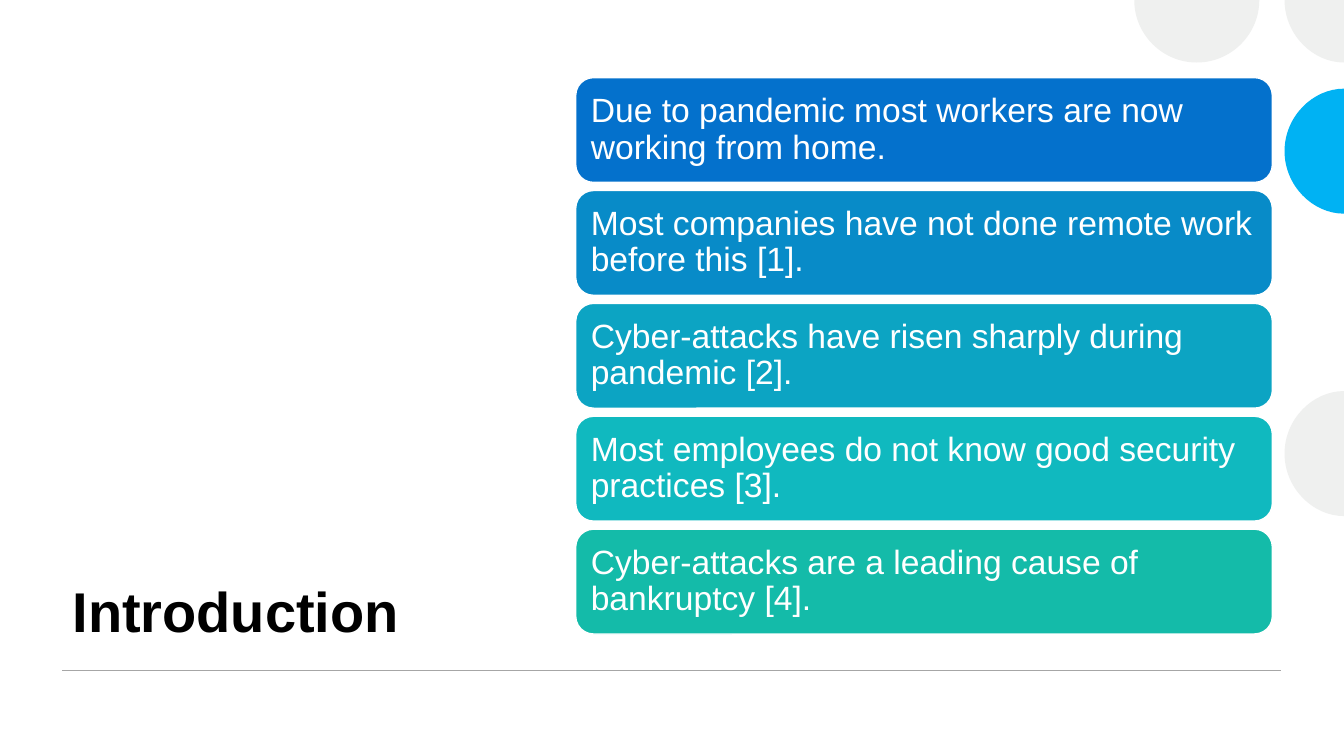
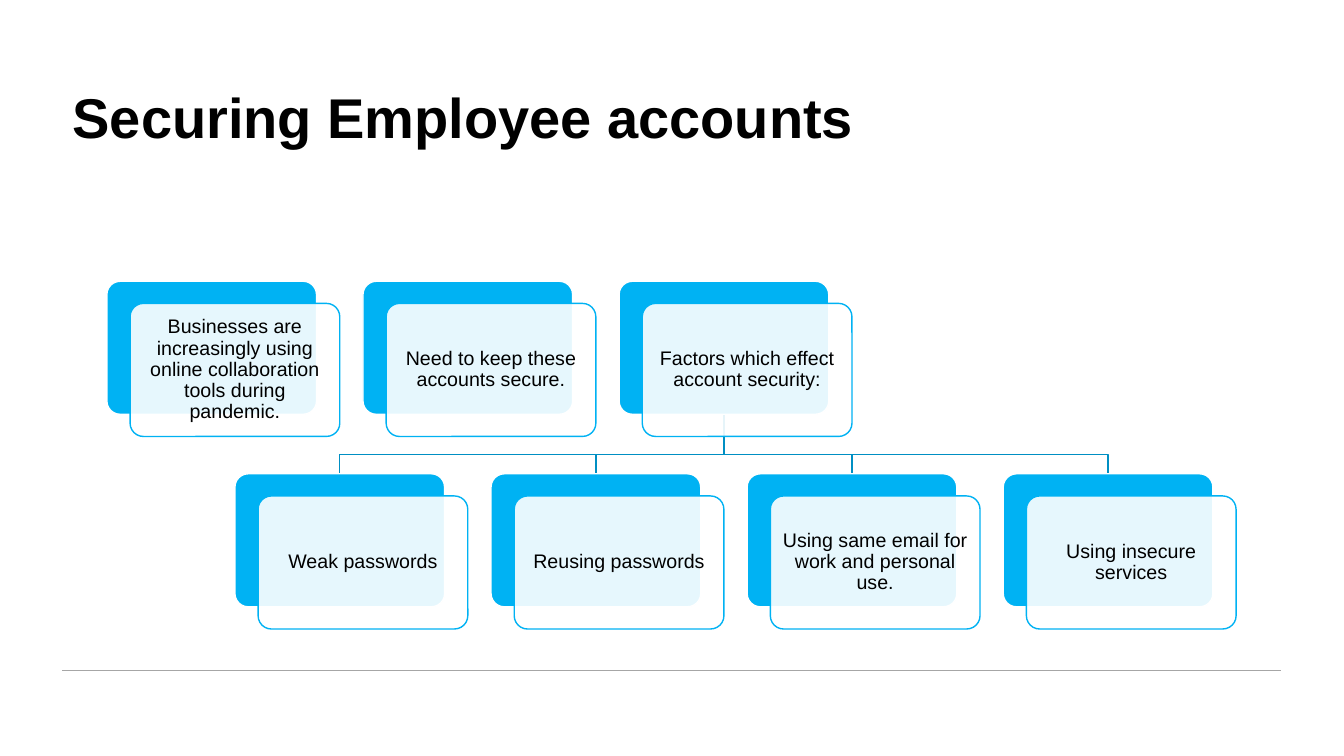
import math

import pptx
import pptx.dml.color
import pptx.enum.shapes
import pptx.enum.text
import pptx.oxml.ns
import pptx.util
from lxml import etree

Inches = pptx.util.Inches
Pt = pptx.util.Pt
RGBColor = pptx.dml.color.RGBColor
Align = pptx.enum.text.PP_ALIGN
Anchor = pptx.enum.text.MSO_ANCHOR
ShapeKind = pptx.enum.shapes.MSO_SHAPE
qn = pptx.oxml.ns.qn

BLACK = RGBColor(0x00, 0x00, 0x00)
WHITE = RGBColor(0xFF, 0xFF, 0xFF)
CYAN = RGBColor(0x00, 0xB2, 0xF3)
PALE_GREY = RGBColor(0xEF, 0xF0, 0xEF)
RULE_GREY = RGBColor(0xA6, 0xA6, 0xA6)
BRANCH_BLUE = RGBColor(0x00, 0x8F, 0xC3)

SLIDE_WIDTH, SLIDE_HEIGHT = 13.33, 7.5
RULE_LEFT, RULE_RIGHT, RULE_Y = 0.62, 12.71, 6.65
CIRCLE_RADIUS, CURVE_FACTOR = 0.62, 0.55
TOP_HALF_CUT, CORNER_CUT, RIGHT_HALF_CUT = (0, 2), (90, 1), (90, 2)
CIRCLES = [
    (11.87, 0, TOP_HALF_CUT, PALE_GREY),
    (13.36, 4.5, RIGHT_HALF_CUT, PALE_GREY),
    (13.36, 1.5, RIGHT_HALF_CUT, CYAN),
    (13.36, 0, CORNER_CUT, PALE_GREY),
]

BAR_LEFT, BAR_TOP, BAR_PITCH = 5.71, 0.77, 1.12
BAR_WIDTH, BAR_HEIGHT = 6.91, 1.04
BARS = [
    ("Due to pandemic most workers are now working from home.", RGBColor(0x04, 0x71, 0xCC)),
    ("Most companies have not done remote work before this [1].", RGBColor(0x08, 0x8B, 0xC8)),
    ("Cyber-attacks have risen sharply during pandemic [2].", RGBColor(0x0C, 0xA4, 0xC3)),
    ("Most employees do not know good security practices [3].", RGBColor(0x10, 0xB9, 0xBF)),
    ("Cyber-attacks are a leading cause of bankruptcy [4].", RGBColor(0x14, 0xBB, 0xA9)),
]

CARD_WIDTH, CARD_HEIGHT, CARD_PITCH = 2.08, 1.32, 2.54
CARD_OFFSET_X, CARD_OFFSET_Y = 0.23, 0.22
TOPIC_LEFT, TOPIC_TOP = 1.06, 2.79
FACTOR_LEFT, FACTOR_TOP = 2.33, 4.7
BRANCH_Y = 4.51
TOPICS = [
    "Businesses are increasingly using online collaboration tools during pandemic.",
    "Need to keep these accounts secure.",
    "Factors which effect account security:",
]
FACTORS = [
    "Weak passwords",
    "Reusing passwords",
    "Using same email for work and personal use.",
    "Using insecure services",
]


def apply_format(target, values):
    """Set each named attribute of the target."""
    for name, value in values.items():
        setattr(target, name, value)


def write_text(shape, text, size, color, align, anchor, bold=False, inset=None):
    """Write one formatted paragraph into a shape."""
    frame = shape.text_frame
    apply_format(frame, {
        "text": text,
        "word_wrap": True,
        "auto_size": pptx.enum.text.MSO_AUTO_SIZE.NONE,
        "vertical_anchor": anchor,
    })
    if inset is not None:
        sides = ("margin_left", "margin_top", "margin_right", "margin_bottom")
        apply_format(frame, dict.fromkeys(sides, Inches(inset)))
    paragraph = frame.paragraphs[0]
    apply_format(paragraph, {"alignment": align, "line_spacing": 0.9})
    font = paragraph.runs[0].font
    apply_format(font, {"name": "Arial", "size": Pt(size), "bold": bold})
    font.color.rgb = color


def paint(shape, fill=None, outline=None):
    """Give a shape an optional solid fill and one-point outline."""
    shape.shadow.inherit = False
    if fill is None:
        shape.fill.background()
    else:
        shape.fill.solid()
        shape.fill.fore_color.rgb = fill
    if outline is None:
        shape.line.fill.background()
    else:
        shape.line.color.rgb = outline
        shape.line.width = Pt(1)


def add_rounded(slide, left, top, width, height, fill, outline, rounding):
    """Add a rounded rectangle."""
    shape = slide.shapes.add_shape(
        ShapeKind.ROUNDED_RECTANGLE,
        Inches(left), Inches(top), Inches(width), Inches(height),
    )
    shape.adjustments[0] = rounding
    paint(shape, fill, outline)
    return shape


def add_rule(slide):
    """Add the grey rule along the bottom."""
    rule = slide.shapes.add_connector(
        pptx.enum.shapes.MSO_CONNECTOR.STRAIGHT,
        Inches(RULE_LEFT), Inches(RULE_Y), Inches(RULE_RIGHT), Inches(RULE_Y),
    )
    rule.line.color.rgb = RULE_GREY
    rule.line.width = Pt(1)
    etree.SubElement(rule.element.spPr, qn("a:effectLst"))


def add_outline(slide, points, close):
    """Add a freeform through points given in inches."""
    start, *others = [(Inches(x), Inches(y)) for x, y in points]
    builder = slide.shapes.build_freeform(*start)
    builder.add_line_segments(others, close=close)
    return builder.convert_to_shape()


def curve_segments(shape, count):
    """Turn the first triples of line segments into Bezier curves."""
    segments = list(shape.element.spPr.iter(qn("a:lnTo")))
    for index in range(count):
        triple = segments[3 * index:3 * index + 3]
        curve = etree.Element(qn("a:cubicBezTo"))
        triple[0].addprevious(curve)
        for segment in triple:
            curve.append(segment[0])
            segment.getparent().remove(segment)


def add_edge_circle(slide, center_x, center_y, cut, color):
    """Add a circle cut off at the slide edges."""
    start, quarters = cut

    def locate(unit, other, factor):
        """Place a point relative to the circle centre."""
        x, y = (
            center + CIRCLE_RADIUS * (a + factor * b)
            for center, a, b in zip((center_x, center_y), unit, other)
        )
        return min(x, SLIDE_WIDTH), y

    angles = [math.radians(start + 90 * step) for step in range(quarters + 1)]
    units = [(math.cos(angle), math.sin(angle)) for angle in angles]
    points = [locate(units[0], units[1], 0)]
    for unit, following in zip(units, units[1:]):
        points += [
            locate(unit, following, CURVE_FACTOR),
            locate(following, unit, CURVE_FACTOR),
            locate(following, unit, 0),
        ]
    if cut == CORNER_CUT:
        points.append((SLIDE_WIDTH, 0))
    circle = add_outline(slide, points, close=True)
    curve_segments(circle, quarters)
    paint(circle, color)


def add_titled_slide(presentation, title, left, top, width, height, anchor):
    """Add a slide with its title."""
    slide = presentation.slides.add_slide(presentation.slide_layouts.get_by_name("Title Only"))
    placeholder = slide.shapes.title
    apply_format(placeholder, {
        "left": Inches(left), "top": Inches(top),
        "width": Inches(width), "height": Inches(height),
    })
    write_text(placeholder, title, 40, BLACK, Align.LEFT, anchor, bold=True)
    return slide


def add_card(slide, left, top, text):
    """Add a cyan plate with a translucent text card in front."""
    size = (CARD_WIDTH, CARD_HEIGHT)
    add_rounded(slide, left, top, *size, CYAN, WHITE, 0.1)
    card = add_rounded(
        slide, left + CARD_OFFSET_X, top + CARD_OFFSET_Y, *size, WHITE, CYAN, 0.1
    )
    fill_color = card.element.spPr.find(qn("a:solidFill")).find(qn("a:srgbClr"))
    etree.SubElement(fill_color, qn("a:alpha"), val="90000")
    write_text(card, text, 14, BLACK, Align.CENTER, Anchor.MIDDLE, inset=0.06)


def add_card_row(slide, left, top, texts):
    """Add equally spaced cards."""
    for index, text in enumerate(texts):
        add_card(slide, left + index * CARD_PITCH, top, text)


def add_branches(slide):
    """Join the last topic to every factor with a bent line."""
    trunk_x = TOPIC_LEFT + (len(TOPICS) - 1) * CARD_PITCH + CARD_WIDTH / 2
    for index in reversed(range(len(FACTORS))):
        factor_x = FACTOR_LEFT + index * CARD_PITCH + CARD_WIDTH / 2
        branch = add_outline(slide, [
            (trunk_x, TOPIC_TOP + CARD_HEIGHT),
            (trunk_x, BRANCH_Y),
            (factor_x, BRANCH_Y),
            (factor_x, FACTOR_TOP),
        ], close=False)
        paint(branch, outline=BRANCH_BLUE)


def build_introduction(presentation):
    """Build the introduction slide."""
    slide = add_titled_slide(
        presentation, "Introduction", 0.62, 2.74, 3.95, 3.71, Anchor.BOTTOM
    )
    for circle in CIRCLES:
        add_edge_circle(slide, *circle)
    add_rule(slide)
    for index, (text, color) in enumerate(BARS):
        top = BAR_TOP + index * BAR_PITCH
        bar = add_rounded(slide, BAR_LEFT, top, BAR_WIDTH, BAR_HEIGHT, color, WHITE, 0.17)
        write_text(bar, text, 24, WHITE, Align.LEFT, Anchor.MIDDLE, inset=0.1)


def build_accounts(presentation):
    """Build the account security slide."""
    slide = add_titled_slide(
        presentation, "Securing Employee accounts", 0.62, 0.84, 8.02, 1.39, Anchor.TOP
    )
    add_rule(slide)
    add_branches(slide)
    add_card_row(slide, TOPIC_LEFT, TOPIC_TOP, TOPICS)
    add_card_row(slide, FACTOR_LEFT, FACTOR_TOP, FACTORS)


def main():
    """Build and save the presentation."""
    presentation = pptx.Presentation()
    presentation.slide_width = Inches(SLIDE_WIDTH)
    presentation.slide_height = Inches(SLIDE_HEIGHT)
    build_introduction(presentation)
    build_accounts(presentation)
    presentation.save("out.pptx")


if __name__ == "__main__":
    main()
